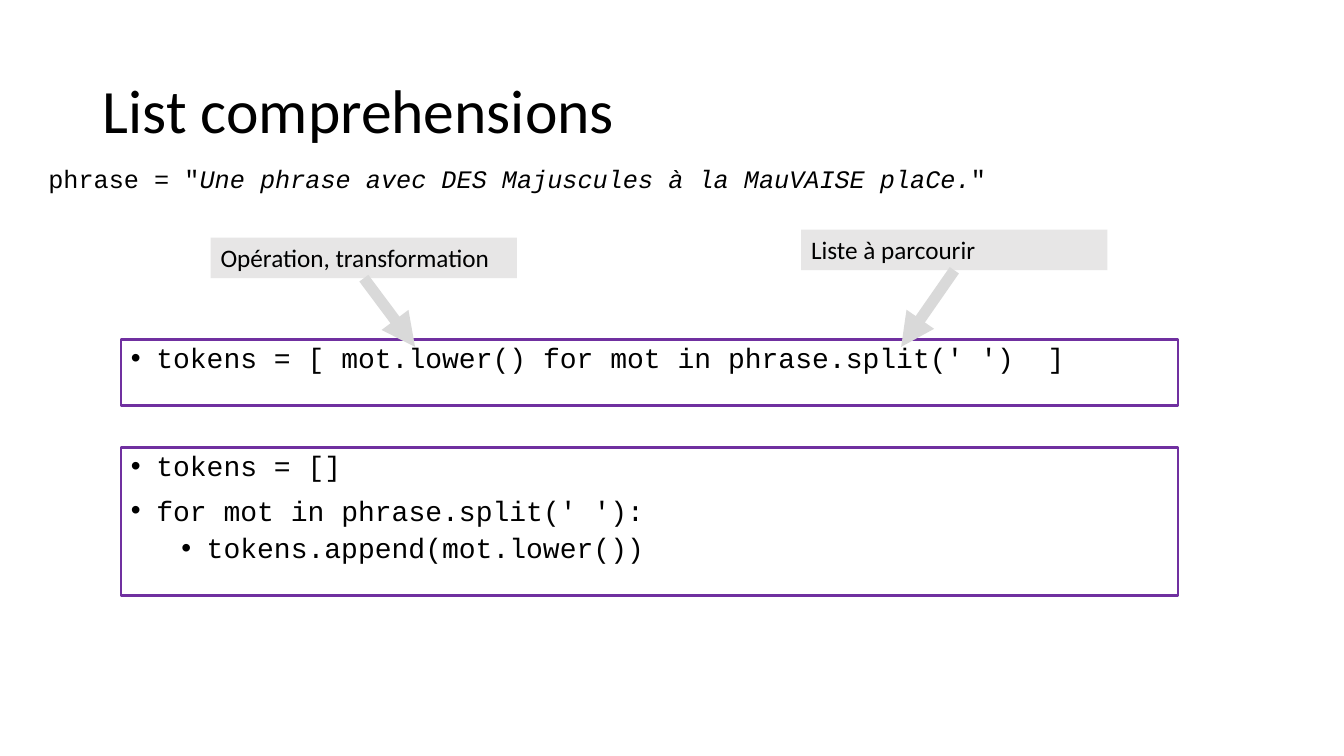
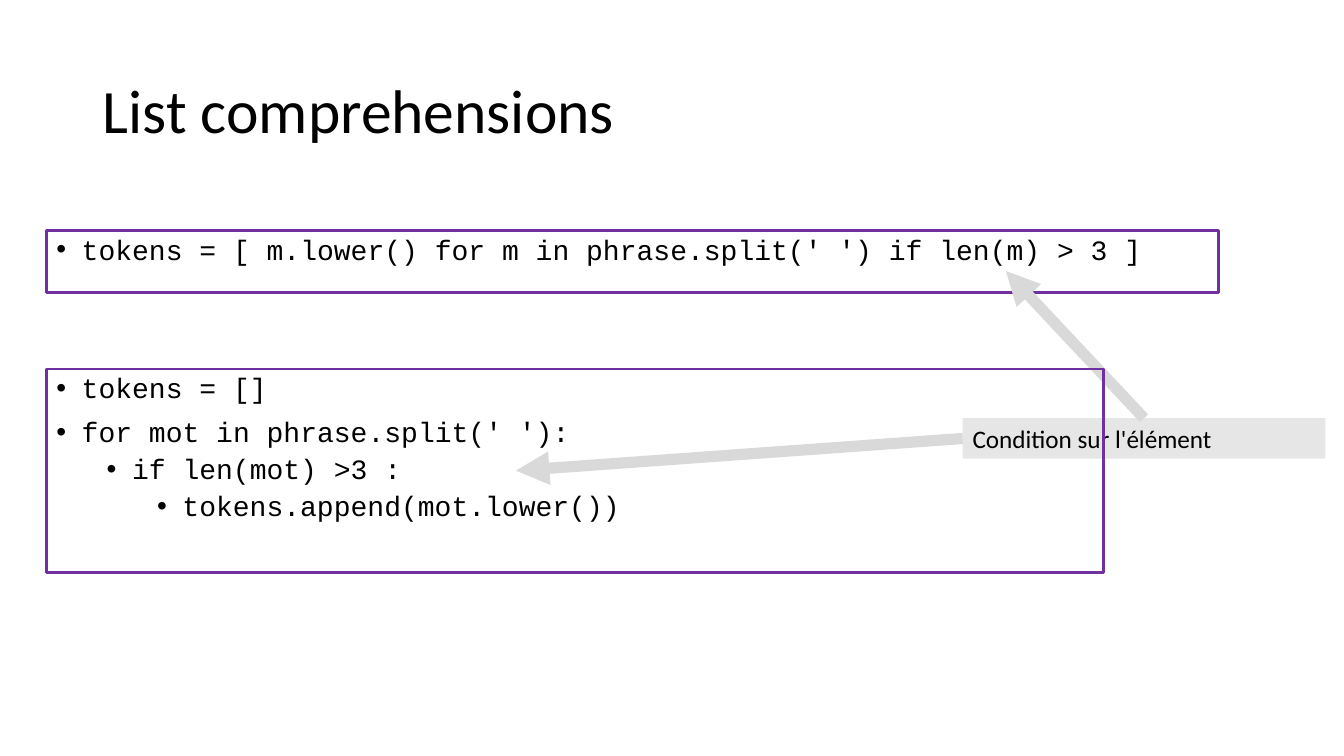
from pptx import Presentation
from pptx.dml.color import RGBColor
from pptx.enum.shapes import MSO_CONNECTOR
from pptx.enum.text import MSO_ANCHOR, PP_ALIGN
from pptx.oxml.ns import qn
from pptx.util import Cm, Pt
from lxml import etree

STRAIGHT = MSO_CONNECTOR.STRAIGHT
MIDDLE, LEFT = MSO_ANCHOR.MIDDLE, PP_ALIGN.LEFT

BLACK = RGBColor(0x00, 0x00, 0x00)
PURPLE = RGBColor(0x70, 0x30, 0xA0)
PALE = RGBColor(0xE7, 0xE6, 0xE6)
GRAY = RGBColor(0xD9, 0xD9, 0xD9)

SANS, MONO = "Calibri", "Courier New"
HEAD = {"name": SANS, "size": Pt(44)}
NOTE = {"name": SANS, "size": Pt(18)}
TEXT = {"name": MONO, "size": Pt(18)}
CODE = {"name": MONO, "size": Pt(20)}

# Sites on a label where an arrow can start
TOP, SIDE, BASE = 0, 1, 2
LINE_H = 1.02
STEP = 1.27  # indent per code level, cm
HANG = 0.64

TITLE = "List comprehensions"
OPEN = [(0, "tokens = []"), (0, "for mot in phrase.split(' '):")]

# Items run from back to front; places and sizes are in cm
# code: place, line width, (level, text) rows
# note: place, width, text; arrow: start site on the last note, end point
# text: place, width, (text, italic) runs
SLIDES = [
    [
        ("code", (3.05, 8.56, 26.64, 1.65), 2,
         [(0, "tokens = [ mot.lower() for mot in phrase.split(' ')  ]")]),
        ("note", (5.31, 5.99), 7.72, "Opération, transformation"),
        ("arrow", BASE, (10.46, 8.74)),
        ("note", (20.19, 5.79), 7.72, "Liste à parcourir"),
        ("arrow", BASE, (22.71, 8.74)),
        ("text", (0.97, 3.99), 28.7,
         [('phrase = "', False),
          ("Une phrase avec DES Majuscules à la MauVAISE plaCe.", True),
          ('"', False)]),
        ("code", (3.05, 11.28, 26.64, 3.73), 2,
         OPEN + [(1, "tokens.append(mot.lower())")]),
    ],
    [
        ("code", (1.17, 5.82, 29.54, 1.55), 2.25,
         [(0, "tokens = [ m.lower() for m in phrase.split(' ') if len(m) > 3 ]")]),
        ("note", (24.26, 10.54), 9.14, "Condition sur l'élément"),
        ("arrow", TOP, (25.35, 6.83)),
        ("code", (1.17, 9.3, 26.64, 5.13), 2,
         OPEN + [(1, "if len(mot) >3 :"), (2, "tokens.append(mot.lower())")]),
        ("arrow", SIDE, (13.0, 11.86)),
    ],
]


def style(font, form):
    for key, value in form.items():
        setattr(font, key, value)
    font.color.rgb = BLACK


def add_box(slide, place):
    box = slide.shapes.add_textbox(*map(Cm, place))
    box.text_frame.word_wrap = True
    return box


def add_title(slide):
    title = slide.shapes.title
    place = {"left": 2.34, "top": 1.02, "width": 29.21, "height": 3.68}
    for key, value in place.items():
        setattr(title, key, Cm(value))
    frame = title.text_frame
    frame.text, frame.vertical_anchor = TITLE, MIDDLE
    para = frame.paragraphs[0]
    para.alignment, para.line_spacing = LEFT, 0.9
    style(para.runs[0].font, HEAD)


def add_code(slide, place, width, rows):
    box = add_box(slide, place)
    box.line.color.rgb, box.line.width = PURPLE, Pt(width)
    frame = box.text_frame
    for i, (level, text) in enumerate(rows):
        para = frame.add_paragraph() if i else frame.paragraphs[0]
        para.level = level
        # Bullet with hanging indent
        props = para._p.get_or_add_pPr()
        props.set("marL", str(Cm(HANG + STEP * level)))
        props.set("indent", str(-Cm(HANG)))
        etree.SubElement(props, qn("a:buFont")).set("typeface", "Arial")
        etree.SubElement(props, qn("a:buChar")).set("char", "•")
        para.line_spacing = 0.9
        if i:
            para.space_before = Pt(5 if level else 10)
        run = para.add_run()
        run.text = text
        style(run.font, CODE)


def add_note(slide, spot, width, text):
    box = add_box(slide, (*spot, width, LINE_H))
    box.fill.solid()
    box.fill.fore_color.rgb = PALE
    run = box.text_frame.paragraphs[0].add_run()
    run.text = text
    style(run.font, NOTE)
    return box


def add_text(slide, spot, width, runs):
    para = add_box(slide, (*spot, width, LINE_H)).text_frame.paragraphs[0]
    for text, slant in runs:
        run = para.add_run()
        run.text = text
        style(run.font, {**TEXT, "italic": slant})


def add_arrow(slide, note, site, end):
    x, y = map(Cm, end)
    arrow = slide.shapes.add_connector(STRAIGHT, x, y, x, y)
    arrow.begin_connect(note, site)
    arrow.line.color.rgb, arrow.line.width = GRAY, Pt(8)
    # Arrowhead, and no shadow
    tip = etree.SubElement(arrow.line._get_or_add_ln(), qn("a:tailEnd"))
    tip.set("type", "triangle")
    etree.SubElement(arrow._element.spPr, qn("a:effectLst"))


def main():
    deck = Presentation()
    deck.slide_width, deck.slide_height = Cm(33.87), Cm(19.05)
    plain = {"code": add_code, "text": add_text}
    for items in SLIDES:
        slide = deck.slides.add_slide(deck.slide_layouts[5])
        add_title(slide)
        note = None
        for kind, *data in items:
            if kind == "note":
                note = add_note(slide, *data)
            elif kind == "arrow":
                add_arrow(slide, note, *data)
            else:
                plain[kind](slide, *data)
    deck.save("out.pptx")


if __name__ == "__main__":
    main()
